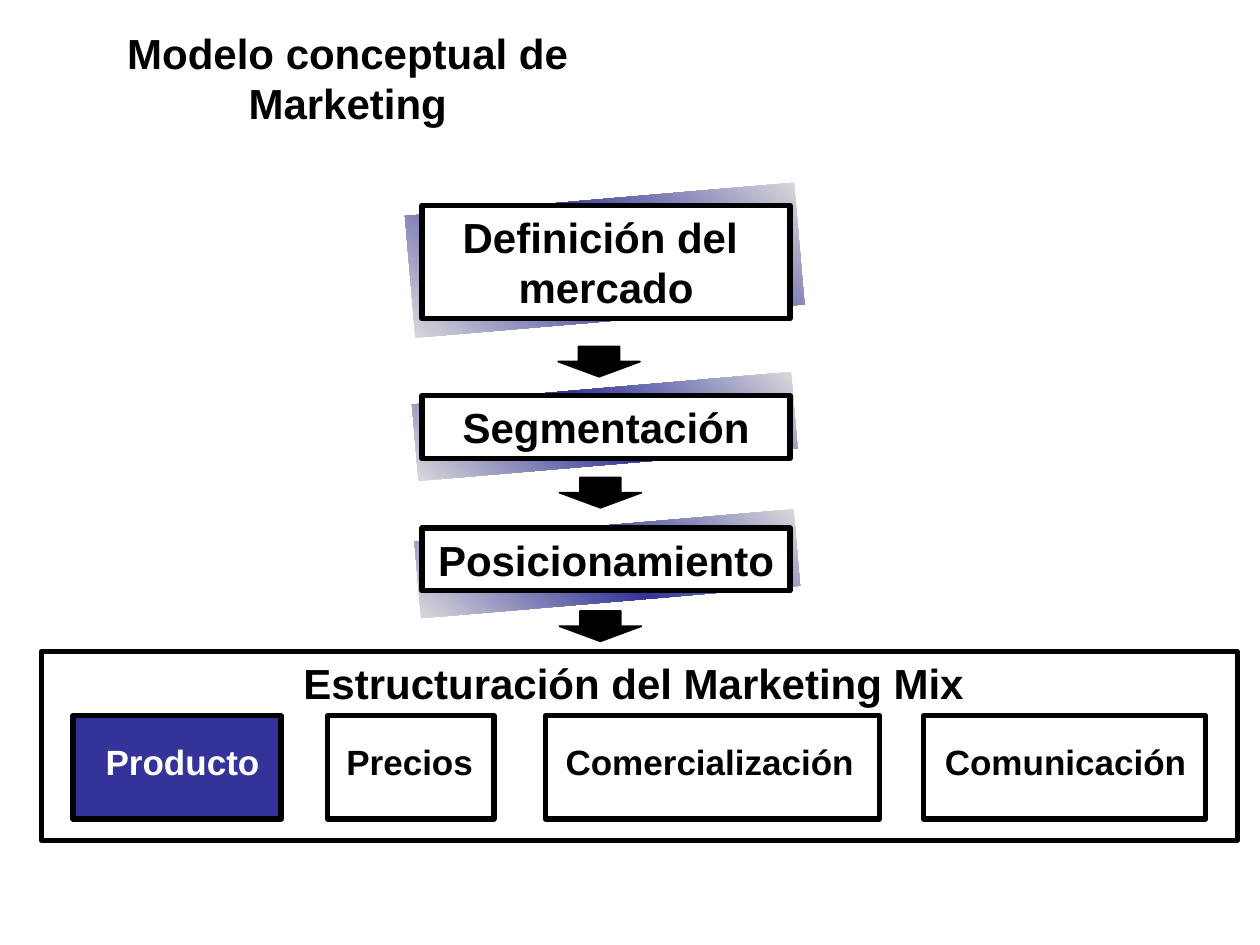
from copy import deepcopy

from pptx import Presentation
from pptx.dml.color import RGBColor
from pptx.enum.shapes import MSO_SHAPE as Shape
from pptx.enum.text import MSO_ANCHOR as Anchor, PP_ALIGN as Align
from pptx.oxml.ns import qn
from pptx.util import Inches, Pt

BLACK, WHITE, INDIGO, SILVER = "000000", "FFFFFF", "333399", "DDDDDD"


def rgb(hex_code):
    return RGBColor.from_string(hex_code)


class MarketingSlide:
    font = "Arial"
    heading_size = 24
    label_size = 20
    border = 3

    def __init__(self, deck):
        self.shapes = deck.slides.add_slide(deck.slide_layouts[6]).shapes

    def set_text(self, frame, text, size, align, color=BLACK):
        frame.text = text
        frame.vertical_anchor = Anchor.TOP
        for paragraph in frame.paragraphs:
            paragraph.alignment = align
            for run in paragraph.runs:
                run.font.name = self.font
                run.font.size = Pt(size)
                run.font.bold = True
                run.font.color.rgb = rgb(color)

    def shape(self, kind, bounds):
        shape = self.shapes.add_shape(kind, *map(Inches, bounds))
        shape.shadow.inherit = False
        return shape

    def box(self, *bounds, fill=WHITE, line=border, kind=Shape.RECTANGLE):
        box = self.shape(kind, bounds)
        box.fill.solid()
        box.fill.fore_color.rgb = rgb(fill)
        box.line.color.rgb = rgb(BLACK)
        box.line.width = Pt(line)
        return box

    def step(self, *bounds, text):
        frame = self.box(*bounds).text_frame
        frame.word_wrap = True
        self.set_text(frame, text, self.heading_size, Align.CENTER)

    def arrow(self, *bounds):
        self.box(*bounds, fill=BLACK, line=1, kind=Shape.DOWN_ARROW)

    def tilted_panel(self, *bounds):
        """Add a slightly turned rectangle, dark along its middle band."""
        panel = self.shape(Shape.RECTANGLE, bounds)
        panel.rotation = 355.1
        panel.line.fill.background()
        panel.fill.gradient()
        panel.fill.gradient_angle = 225
        stop_list = panel._element.spPr.find(qn("a:gradFill")).find(qn("a:gsLst"))
        stop_list.insert(1, deepcopy(stop_list[0]))
        colors = (SILVER, INDIGO, SILVER)
        for stop, position, color in zip(panel.fill.gradient_stops, (0, 0.5, 1), colors):
            stop.position = position
            stop.color.rgb = rgb(color)

    def label(self, *bounds, text, size=label_size, align=Align.LEFT, color=BLACK):
        frame = self.shapes.add_textbox(*map(Inches, bounds)).text_frame
        frame.word_wrap = False
        self.set_text(frame, text, size, align, color)

    def heading(self, *bounds, text):
        self.label(*bounds, text=text, size=self.heading_size, align=Align.CENTER)


def main():
    deck = Presentation()
    deck.slide_width, deck.slide_height = Inches(10), Inches(7.5)
    slide = MarketingSlide(deck)

    slide.heading(0.08, 0.17, 5.36, 0.5, text="Modelo conceptual de Marketing")

    for panel in ((3.31, 4.17, 3.02, 0.61), (3.29, 3.08, 3.02, 0.61), (3.25, 1.58, 3.1, 0.97)):
        slide.tilted_panel(*panel)

    steps = (
        ("Definición del \nmercado", 1.63, 0.9),
        ("Segmentación", 3.14, 0.5),
        ("Posicionamiento", 4.19, 0.5),
    )
    for text, top, height in steps:
        slide.step(3.35, top, 2.92, height, text=text)

    for left, top in ((4.43, 2.75), (4.44, 3.79), (4.44, 4.85)):
        slide.arrow(left, top, 0.65, 0.24)

    slide.box(0.33, 5.17, 9.49, 1.5)
    slide.heading(2.31, 5.17, 5.44, 0.5, text="Estructuración del Marketing Mix")

    # name, box left, box width, label left, label width, fill, text colour
    mix = (
        ("Producto", 0.58, 1.65, 0.74, 1.43, INDIGO, WHITE),
        ("Precios", 2.6, 1.32, 2.65, 1.21, WHITE, BLACK),
        ("Comercialización", 4.33, 2.65, 4.39, 2.49, WHITE, BLACK),
        ("Comunicación", 7.33, 2.24, 7.4, 2.12, WHITE, BLACK),
    )
    for name, left, width, label_left, label_width, fill, color in mix:
        slide.box(left, 5.68, width, 0.82, fill=fill)
        slide.label(label_left, 5.83, label_width, 0.43, text=name, color=color)

    deck.save("out.pptx")


if __name__ == "__main__":
    main()
